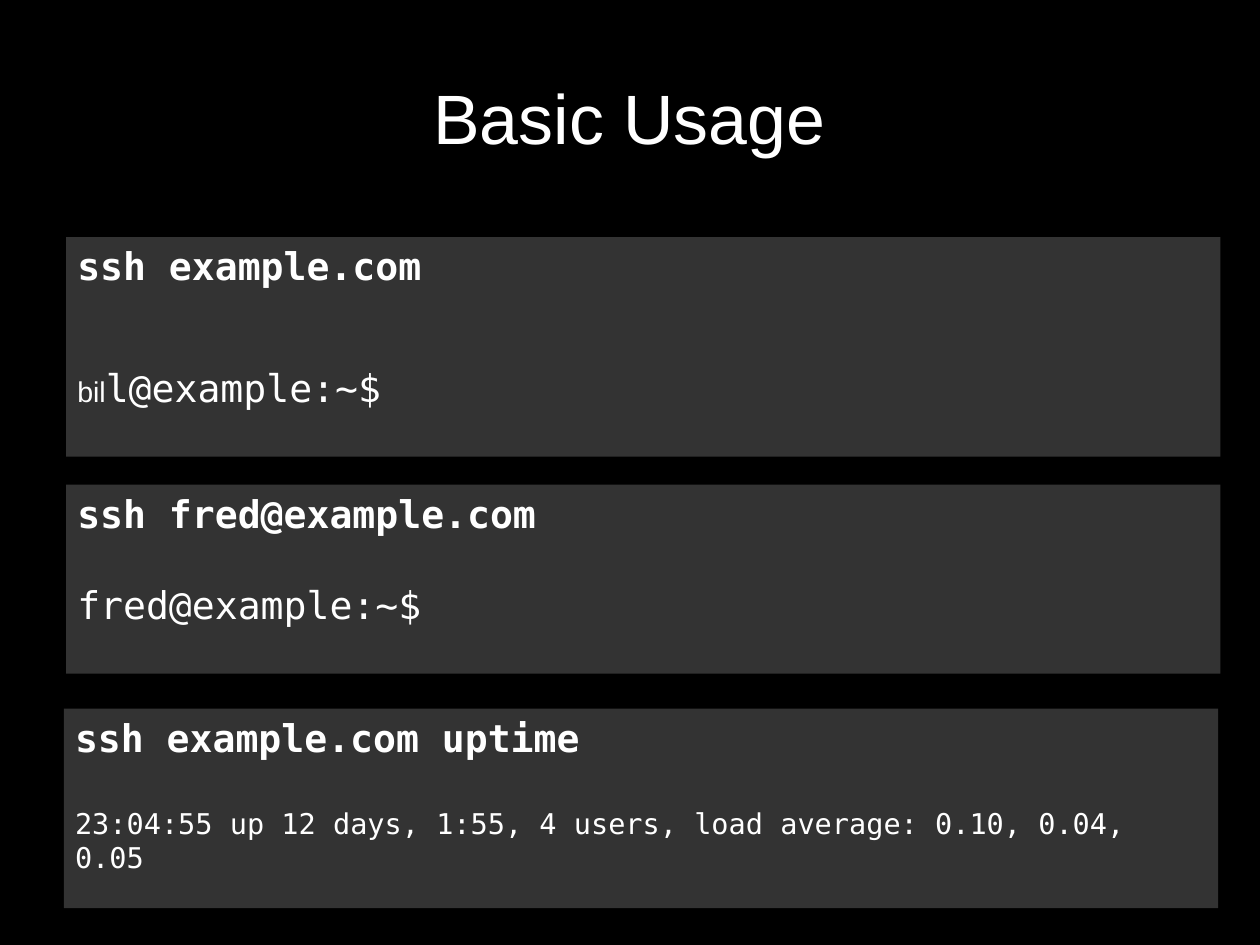
from pptx import Presentation
from pptx.dml.color import RGBColor
from pptx.enum.shapes import MSO_SHAPE
from pptx.enum.text import MSO_ANCHOR, PP_ALIGN
from pptx.util import Pt

RECTANGLE = MSO_SHAPE.RECTANGLE
TOP, MIDDLE = MSO_ANCHOR.TOP, MSO_ANCHOR.MIDDLE
LEFT, CENTER = PP_ALIGN.LEFT, PP_ALIGN.CENTER

COLORS = {"background": "000000", "panel": "333333", "text": "FFFFFF"}
SANS, MONO = "Arial", "DejaVu Sans Mono"
TITLE_ONLY = 5


def color(name):
    return RGBColor.from_string(COLORS[name])


def add_text(paragraph, text, size=24, font=MONO, bold=False):
    run = paragraph.add_run()
    run.text = text
    run.font.size = Pt(size)
    run.font.name = font
    run.font.bold = bold
    run.font.color.rgb = color("text")


class Deck:
    """Holds the style and the current slide."""

    def __init__(self, width, height):
        self.presentation = Presentation()
        self.presentation.slide_width = Pt(width)
        self.presentation.slide_height = Pt(height)
        layout = self.presentation.slide_layouts[TITLE_ONLY]
        self.slide = self.presentation.slides.add_slide(layout)
        fill = self.slide.background.fill
        fill.solid()
        fill.fore_color.rgb = color("background")

    def frame(self, shape, anchor, side=0, end=0):
        frame = shape.text_frame
        frame.word_wrap = True
        frame.vertical_anchor = anchor
        frame.margin_left = frame.margin_right = Pt(side)
        frame.margin_top = frame.margin_bottom = Pt(end)
        return frame

    def title(self, text, left, top, width, height):
        heading = self.slide.shapes.title
        heading.left, heading.top = Pt(left), Pt(top)
        heading.width, heading.height = Pt(width), Pt(height)
        line = self.frame(heading, MIDDLE).paragraphs[0]
        line.alignment = CENTER
        add_text(line, text, size=44, font=SANS)

    def terminal(self, command, output, left, top, height, gap):
        """Draw a panel: a bold command, then output runs after a gap."""
        panel = self.slide.shapes.add_shape(
            RECTANGLE, Pt(left), Pt(top), Pt(727.2), Pt(height))
        panel.shadow.inherit = False
        panel.fill.solid()
        panel.fill.fore_color.rgb = color("panel")
        panel.line.fill.background()

        frame = self.frame(panel, TOP, side=7.2, end=3.6)
        prompt, reply = frame.paragraphs[0], frame.add_paragraph()
        prompt.alignment = reply.alignment = LEFT
        reply.space_before = Pt(gap)
        add_text(prompt, command, bold=True)
        for text, style in output:
            add_text(reply, text, **style)


deck = Deck(793.7, 595.28)

# Heading
deck.title("Basic Usage", 39.6, 23.8, 714.2, 99.4)

# Log in under the local user name
deck.terminal("ssh example.com",
              [("bil", {"size": 18, "font": SANS}), ("l@example:~$", {})],
              left=41.6, top=149.4, height=138.2, gap=48)

# Log in as another user
deck.terminal("ssh fred@example.com", [("fred@example:~$", {})],
              left=41.6, top=305.2, height=119.2, gap=28.5)

# Run a single remote command
deck.terminal("ssh example.com uptime",
              [("23:04:55 up 12 days, 1:55, 4 users, "
                "load average: 0.10, 0.04, 0.05", {"size": 18})],
              left=40.2, top=446.4, height=125.7, gap=29)

deck.presentation.save("out.pptx")
